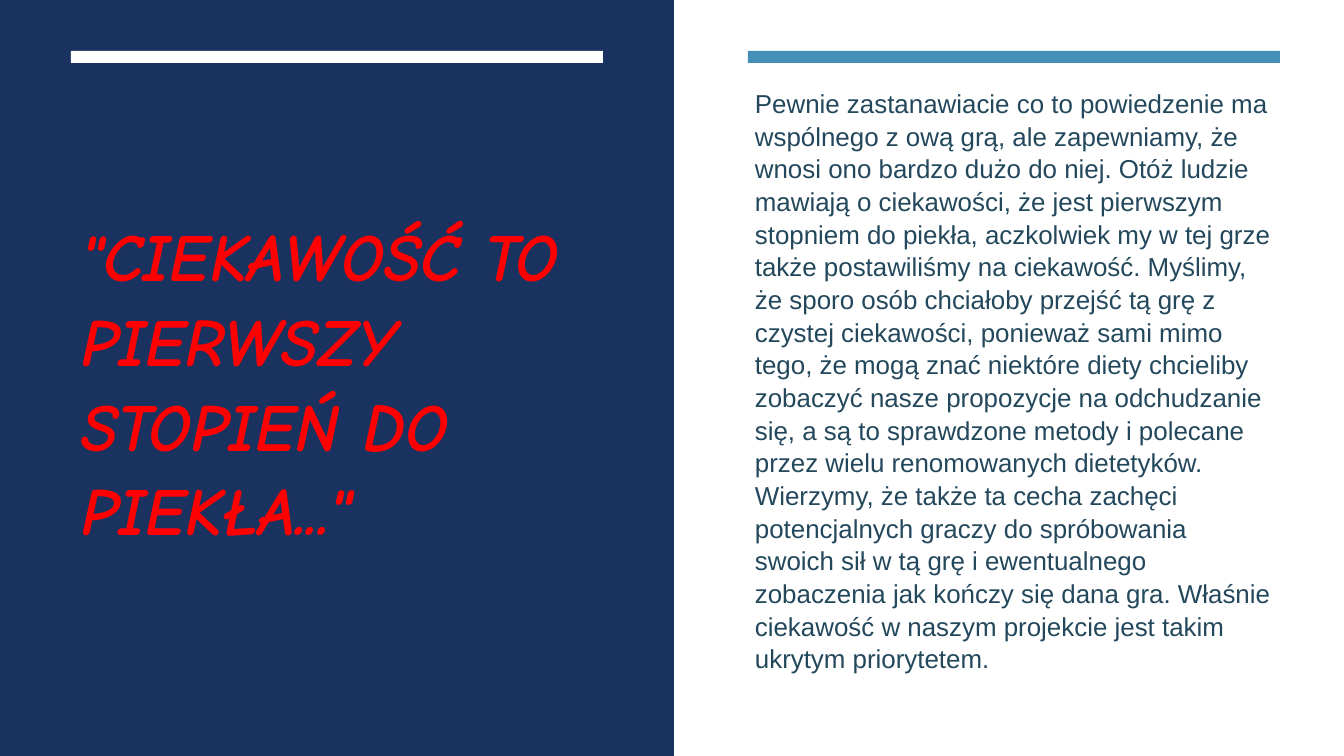
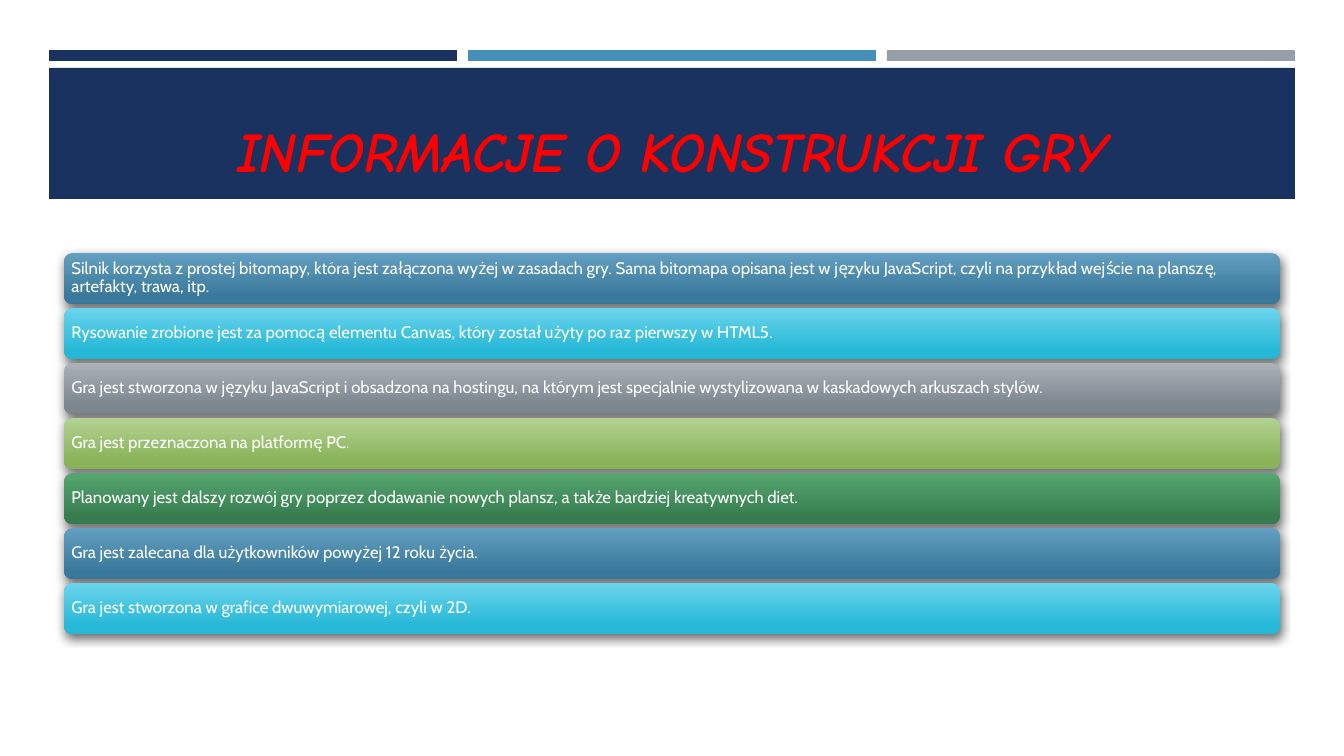
from lxml import etree
from pptx import Presentation
from pptx.dml.color import RGBColor
from pptx.enum import shapes, text
from pptx.oxml.ns import qn
from pptx.util import Emu, Pt

WIDTH, HEIGHT = 1344, 756
SCALE = 12192000 / WIDTH
COLORS = {
    "white": "FFFFFF", "navy": "1A3260", "blue": "4590B8",
    "grey": "969FA7", "red": "FF0000", "ink": "23485C", "black": "000000",
}
GRADIENTS = {
    "blue": ("639FC1", "3A799B"), "cyan": ("6BD4EC", "26B8D7"),
    "grey": ("ABB2B8", "7C868F"), "lime": ("B4D293", "89B359"),
    "green": ("55A770", "377D50"),
}
QUOTE = '"CIEKAWOŚĆ TO PIERWSZY STOPIEŃ DO PIEKŁA..."'
CURIOSITY = (
    "Pewnie zastanawiacie co to powiedzenie ma wspólnego z ową grą, ale zapewniamy, "
    "że wnosi ono bardzo dużo do niej. Otóż ludzie mawiają o ciekawości, że jest "
    "pierwszym stopniem do piekła, aczkolwiek my w tej grze także postawiliśmy na "
    "ciekawość. Myślimy, że sporo osób chciałoby przejść tą grę z czystej ciekawości, "
    "ponieważ sami mimo tego, że mogą znać niektóre diety chcieliby zobaczyć nasze "
    "propozycje na odchudzanie się, a są to sprawdzone metody i polecane przez wielu "
    "renomowanych dietetyków. Wierzymy, że także ta cecha zachęci potencjalnych graczy "
    "do spróbowania swoich sił w tą grę i ewentualnego zobaczenia jak kończy się dana "
    "gra. Właśnie ciekawość w naszym projekcie jest takim ukrytym priorytetem."
)
FACTS = [
    ("blue", "Silnik korzysta z prostej bitomapy, która jest załączona wyżej w zasadach "
             "gry. Sama bitomapa opisana jest w języku JavaScript, czyli na przykład "
             "wejście na planszę, artefakty, trawa, itp."),
    ("cyan", "Rysowanie zrobione jest za pomocą elementu Canvas, który został użyty po "
             "raz pierwszy w HTML5."),
    ("grey", "Gra jest stworzona w języku JavaScript i obsadzona na hostingu, na którym "
             "jest specjalnie wystylizowana w kaskadowych arkuszach stylów."),
    ("lime", "Gra jest przeznaczona na platformę PC."),
    ("green", "Planowany jest dalszy rozwój gry poprzez dodawanie nowych plansz, a także "
              "bardziej kreatywnych diet."),
    ("blue", "Gra jest zalecana dla użytkowników powyżej 12 roku życia."),
    ("cyan", "Gra jest stworzona w grafice dwuwymiarowej, czyli w 2D."),
]


def px(n):
    return Emu(round(n * SCALE))


class Deck:
    def __init__(self):
        self.prs = Presentation()
        self.prs.slide_width, self.prs.slide_height = px(WIDTH), px(HEIGHT)
        self.s = None

    def slide(self):
        self.s = self.prs.slides.add_slide(self.prs.slide_layouts[5])

    def set_text(self, sp, words, size, font, color, anchor, align="LEFT",
                 spacing=1.0, strong=False):
        tf = sp.text_frame
        tf.text = words
        tf.word_wrap = True
        tf.auto_size = text.MSO_AUTO_SIZE.NONE
        tf.vertical_anchor = text.MSO_ANCHOR[anchor]
        p = tf.paragraphs[0]
        p.alignment = text.PP_ALIGN[align]
        p.line_spacing = spacing
        r = p.runs[0]
        r.font.name, r.font.size = font, Pt(size)
        r.font.bold = r.font.italic = strong
        r.font.color.rgb = RGBColor.from_string(COLORS[color])

    def title(self, x, y, w, h, words, size, anchor, align, spacing=1.0):
        sp = self.s.shapes.title
        sp.element.getparent().append(sp.element)
        sp.left, sp.top, sp.width, sp.height = map(px, (x, y, w, h))
        self.set_text(sp, words, size, "Comic Neue", "red", anchor, align, spacing, True)

    def body(self, x, y, w, h, words):
        sp = self.s.shapes.add_textbox(*map(px, (x, y, w, h)))
        self.set_text(sp, words, 18.5, "Arial", "ink", "MIDDLE", spacing=1.05)

    def shape(self, kind, x, y, w, h):
        sp = self.s.shapes.add_shape(shapes.MSO_SHAPE[kind], *map(px, (x, y, w, h)))
        sp.shadow.inherit = False
        sp.line.fill.background()
        return sp

    def band(self, x, y, w, h, color):
        sp = self.shape("RECTANGLE", x, y, w, h)
        sp.fill.solid()
        sp.fill.fore_color.rgb = RGBColor.from_string(COLORS[color])

    def fact(self, x, y, w, h, gradient, words):
        sp = self.shape("ROUNDED_RECTANGLE", x, y, w, h)
        sp.fill.gradient()
        sp.fill.gradient_angle = 270
        for stop, at, color in zip(sp.fill.gradient_stops, (0, 0.84), GRADIENTS[gradient]):
            stop.position = at
            stop.color.rgb = RGBColor.from_string(color)
        self.drop_shadow(sp)
        tf = sp.text_frame
        tf.margin_left = tf.margin_right = tf.margin_top = tf.margin_bottom = px(5)
        self.set_text(sp, words, 12, "Cabin", "white", "MIDDLE", spacing=0.9)

    def drop_shadow(self, sp):
        effects = sp.element.spPr.find(qn("a:effectLst"))
        shadow = etree.SubElement(effects, qn("a:outerShdw"), blurRad=str(Pt(7)),
                                  dist=str(Pt(3)), dir="5040000", rotWithShape="0")
        color = etree.SubElement(shadow, qn("a:srgbClr"), val=COLORS["black"])
        etree.SubElement(color, qn("a:alpha"), val="60000")


def quote_slide(deck):
    deck.slide()
    deck.band(0, 0, 674, HEIGHT, "navy")
    deck.band(71, 51, 532, 12, "white")
    deck.band(748, 51, 532, 12, "blue")
    deck.title(71, 114, 532, 532, QUOTE, 48, "MIDDLE", "LEFT", 1.05)
    deck.body(745, 114, 535, 532, CURIOSITY)


def facts_slide(deck):
    deck.slide()
    deck.band(49, 68, 1246, 131, "navy")
    for i, color in enumerate(("navy", "blue", "grey")):
        deck.band(49 + 419 * i, 50, 408, 11, color)
    deck.title(64, 77, 1216, 112, "INFORMACJE O KONSTRUKCJI GRY", 40, "BOTTOM", "CENTER")
    for i, (gradient, words) in enumerate(FACTS):
        deck.fact(64, 253 + 55 * i, 1216, 51, gradient, words)


def main():
    deck = Deck()
    quote_slide(deck)
    facts_slide(deck)
    deck.prs.save("out.pptx")


if __name__ == "__main__":
    main()
